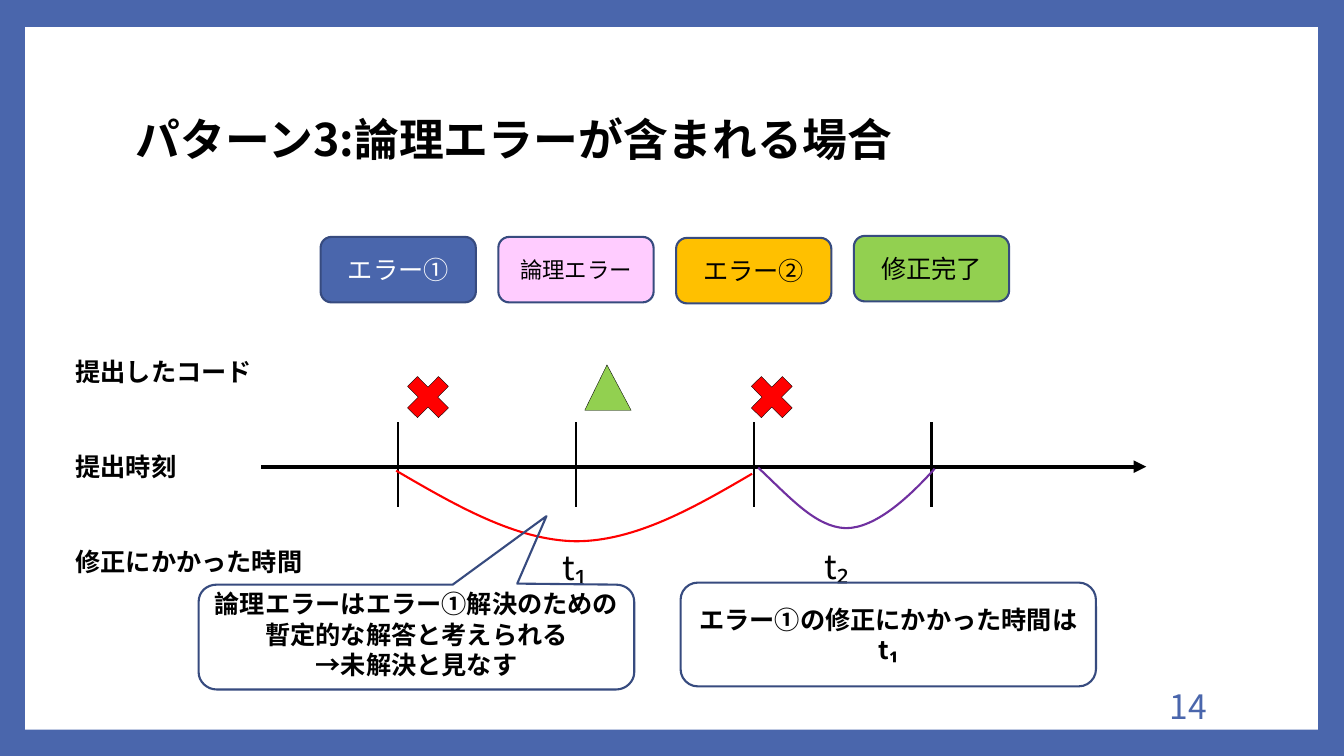
"""Build the slide on error pattern 3 with its submission timeline."""
import pptx
import pptx.util
import pptx.dml.color
import pptx.enum.shapes
import pptx.enum.text
import pptx.oxml.ns
from lxml import etree
from dataclasses import dataclass

KIND = pptx.enum.shapes.MSO_SHAPE
ALIGN = pptx.enum.text.PP_ALIGN
ANCHOR = pptx.enum.text.MSO_ANCHOR
Pt = pptx.util.Pt
qn = pptx.oxml.ns.qn
SCALE = 9144


@dataclass(frozen=True)
class Theme:
    font: str = "Noto Sans CJK JP"
    latin: str = "Cabin"
    blue: str = "4A66AC"
    edge: str = "374B7F"
    white: str = "FFFFFF"
    black: str = "000000"
    red: str = "FF0000"
    green: str = "92D050"
    gold: str = "FFC000"
    pink: str = "FFCCFF"
    purple: str = "7030A0"
    title: int = 32
    large: int = 24
    body: int = 18
    small: int = 16
    pitch: float = 21.5


T = Theme()
TITLE = "パターン3:論理エラーが含まれる場合"
PAGE = "14"
LABELS = [("提出したコード", 349, 199), ("提出時刻", 443, 164), ("修正にかかった時間", 537, 262)]
STEPS = [
    ("エラー①", 235, T.blue, T.white, T.body),
    ("論理エラー", 235, T.pink, T.black, T.small),
    ("エラー②", 236, T.gold, T.black, T.body),
    ("修正完了", 234, T.green, T.black, T.body),
]
STEP_X, TICK_X, GAP = 318, 395, 176.3
MARKS = [
    (KIND.MATH_MULTIPLY, (395, 364, 59, 60), T.red),
    (KIND.ISOSCELES_TRIANGLE, (580, 362, 46, 45), T.green),
    (KIND.MATH_MULTIPLY, (736, 364, 59, 60), T.red),
]
ARCS = [
    (T.red, (746, 470), [((688, 504), (630, 537), (571, 537)),
                         ((512, 536), (453, 502), (393, 467))]),
    (T.purple, (927, 465), [((901, 494), (868, 524), (839, 524)),
                            ((809, 523), (784, 494), (752, 464))]),
]
TIMES = [("t₁", (539, 538, 61, 50)), ("t₂", (795, 537, 69, 50))]
NOTE = "論理エラーはエラー①解決のための暫定的な解答と考えられる\v→未解決と見なす"
NOTE_TOP = 62
NOTE_START = (197, 597)
NOTE_EDGE = [
    ((197, 587), (205, 580), (215, 580)),
    ((449, 580),), ((542, 512),), ((513, 579),), ((611, 580),),
    ((621, 580), (629, 587), (629, 597)),
    ((629, 667),),
    ((629, 676), (621, 684), (611, 684)),
    ((215, 684),),
    ((205, 684), (197, 676), (197, 667)),
]
ANSWER = "エラー①の修正にかかった時間はt₁"


def px(n):
    return round(n * SCALE)


def rgb(code):
    return pptx.dml.color.RGBColor.from_string(code)


def paint(shape, fill=None, line=None, width=1.5):
    shape.shadow.inherit = False
    if fill:
        shape.fill.solid()
        shape.fill.fore_color.rgb = rgb(fill)
    else:
        shape.fill.background()
    if line:
        shape.line.color.rgb = rgb(line)
        shape.line.width = Pt(width)
    else:
        shape.line.fill.background()


def write(shape, text, size, color=T.black, bold=False, align=ALIGN.CENTER,
          anchor=ANCHOR.MIDDLE, font=T.font, space=None):
    frame = shape.text_frame
    frame.text = text
    frame.word_wrap = True
    frame.vertical_anchor = anchor
    para = frame.paragraphs[0]
    para.alignment = align
    para.line_spacing = space
    for run in para.runs:
        run.font.name = font
        run.font.size = Pt(size)
        run.font.bold = bold
        run.font.color.rgb = rgb(color)
        east = etree.SubElement(run.font._element, qn("a:ea"))
        east.set("typeface", T.font)


def add(shapes, kind, box, fill=None, line=None, width=1.5):
    shape = shapes.add_shape(kind, *map(px, box))
    paint(shape, fill, line, width)
    return shape


def label(shapes, box, text, size, **style):
    write(shapes.add_textbox(*map(px, box)), text, size, **style)


def rule(shapes, start, end, width, arrow=False):
    line = shapes.add_connector(pptx.enum.shapes.MSO_CONNECTOR.STRAIGHT,
                                *map(px, start + end))
    line.line.color.rgb = rgb(T.black)
    line.line.width = Pt(width)
    if arrow:
        tail = etree.SubElement(line.line._get_or_add_ln(), qn("a:tailEnd"))
        tail.set("type", "triangle")
    etree.SubElement(line._element.spPr, qn("a:effectLst"))


def draw(shapes, start, parts, close, line):
    dots = [(px(x), px(y)) for part in parts for x, y in part]
    form = shapes.build_freeform(*map(px, start))
    form.add_line_segments(dots, close=close)
    shape = form.convert_to_shape()
    paint(shape, line=line)
    steps = iter(list(shape._element.iter(qn("a:lnTo"))))
    for part in parts:
        group = [next(steps) for _ in part]
        if len(group) == 3:
            bend = etree.Element(qn("a:cubicBezTo"))
            group[0].addprevious(bend)
            for step in group:
                bend.append(step[0])
                step.getparent().remove(step)
    return shape


def main():
    deck = pptx.Presentation()
    deck.slide_width, deck.slide_height = px(1333), px(750)
    slide = deck.slides.add_slide(deck.slide_layouts[6])
    slide.background.fill.solid()
    slide.background.fill.fore_color.rgb = rgb(T.blue)
    shapes = slide.shapes
    add(shapes, KIND.RECTANGLE, (25, 27, 1282, 697), T.white)
    label(shapes, (125, 67, 1080, 148), TITLE, T.title, bold=True,
          align=ALIGN.LEFT, space=0.9)
    label(shapes, (1020, 680, 187, 40), PAGE, T.large, color=T.blue, align=ALIGN.RIGHT)
    for text, top, wide in LABELS:
        label(shapes, (65, top, wide, 40), text, T.body, bold=True,
              align=ALIGN.LEFT, anchor=ANCHOR.TOP, space=Pt(T.pitch))

    rule(shapes, (259, 463), (1137, 463), 3, arrow=True)
    for i, (text, top, fill, color, size) in enumerate(STEPS):
        x = TICK_X + GAP * i
        rule(shapes, (x, 419), (x, 503), 1.5)
        step = add(shapes, KIND.ROUNDED_RECTANGLE,
                   (STEP_X + GAP * i, top, 154, 65), fill, T.edge)
        write(step, text, size, color)
    for kind, box, fill in MARKS:
        mark = add(shapes, kind, box, fill, T.black, 0.25)
        if kind == KIND.ISOSCELES_TRIANGLE:
            mark.adjustments[0] = 0.48
    for color, start, parts in ARCS:
        draw(shapes, start, parts, False, color)
    for text, box in TIMES:
        label(shapes, box, text, T.large, anchor=ANCHOR.TOP)

    note = draw(shapes, NOTE_START, NOTE_EDGE, True, T.edge)
    write(note, NOTE, T.body, bold=True, font=T.latin, space=Pt(T.pitch))
    note.text_frame.margin_top = px(NOTE_TOP)
    note.text_frame.margin_bottom = 0
    answer = add(shapes, KIND.ROUNDED_RECTANGLE, (675, 578, 412, 103), None, T.edge)
    write(answer, ANSWER, T.body, bold=True, space=Pt(T.pitch))
    deck.save("out.pptx")


if __name__ == "__main__":
    main()
